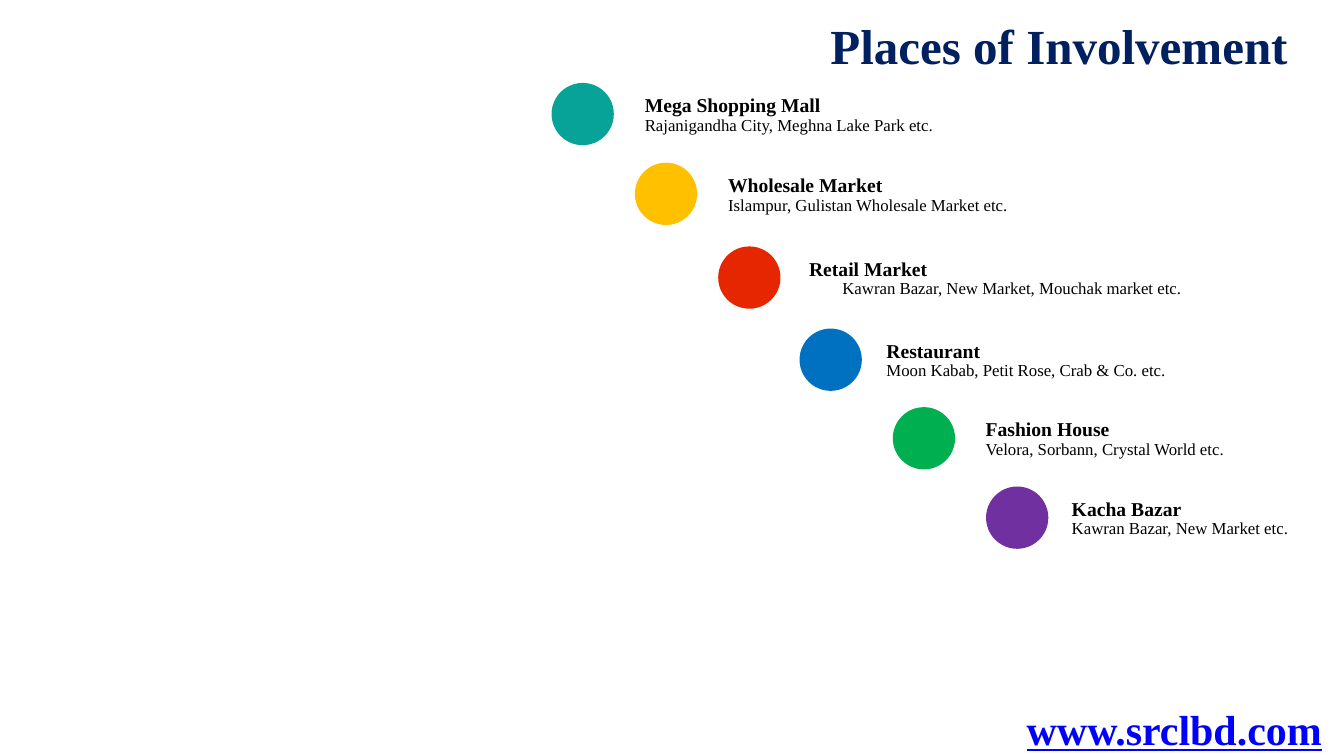
from dataclasses import dataclass

from pptx import Presentation
from pptx.dml.color import RGBColor
from pptx.enum.shapes import MSO_SHAPE
from pptx.enum.text import PP_ALIGN
from pptx.slide import Slide
from pptx.util import Cm, Pt

OVAL = MSO_SHAPE.OVAL
LEFT, RIGHT = PP_ALIGN.LEFT, PP_ALIGN.RIGHT

FONT = "Times New Roman"
BLACK = RGBColor(0x00, 0x00, 0x00)
NAVY = RGBColor(0x00, 0x20, 0x60)
LINK_BLUE = RGBColor(0x00, 0x00, 0xFF)
TEAL = RGBColor(0x07, 0xA3, 0x98)
AMBER = RGBColor(0xFF, 0xC0, 0x00)
RED = RGBColor(0xE6, 0x26, 0x01)
BLUE = RGBColor(0x00, 0x70, 0xC0)
GREEN = RGBColor(0x00, 0xB0, 0x50)
PURPLE = RGBColor(0x70, 0x30, 0xA0)

# Lengths in centimetres
DOT_SIZE = 1.57
HEADING_DROP, HEADING_HEIGHT = 0.13, 0.86
DETAIL_DROP, DETAIL_HEIGHT = 0.67, 0.76


@dataclass
class Place:
    heading: str
    detail: str
    color: RGBColor
    dot_left: float
    top: float
    text_left: float
    text_width: float
    detail_shift: float = 0


PLACES = [
    Place("Mega Shopping Mall", "Rajanigandha City, Meghna Lake Park etc.",
          TEAL, 13.9, 2.09, 16.0, 8.28),
    Place("Wholesale Market", "Islampur, Gulistan Wholesale Market etc.",
          AMBER, 16.0, 4.1, 18.1, 8.28),
    Place("Retail Market", "Kawran Bazar, New Market, Mouchak market etc.",
          RED, 18.1, 6.21, 20.14, 9.4, 0.84),
    Place("Restaurant", "Moon Kabab, Petit Rose, Crab & Co. etc.",
          BLUE, 20.15, 8.28, 22.09, 8.28),
    Place("Fashion House", "Velora, Sorbann, Crystal World etc.",
          GREEN, 22.5, 10.26, 24.59, 7.49),
    Place("Kacha Bazar", "Kawran Bazar, New Market etc.",
          PURPLE, 24.85, 12.26, 26.76, 6.4),
]


def add_text(s: Slide, text: str, left: float, top: float, width: float,
             height: float, size: int, color: RGBColor = BLACK,
             bold: bool = True, underline: bool = False,
             align: PP_ALIGN = LEFT) -> None:
    tf = s.shapes.add_textbox(Cm(left), Cm(top), Cm(width), Cm(height)).text_frame
    tf.word_wrap = True
    p = tf.paragraphs[0]
    p.alignment = align
    r = p.add_run()
    r.text = text
    r.font.name = FONT
    r.font.size = Pt(size)
    r.font.bold = bold
    r.font.underline = underline
    r.font.color.rgb = color


def add_place(s: Slide, place: Place) -> None:
    sp = s.shapes.add_shape(OVAL, Cm(place.dot_left), Cm(place.top),
                            Cm(DOT_SIZE), Cm(DOT_SIZE))
    sp.shadow.inherit = False
    sp.fill.solid()
    sp.fill.fore_color.rgb = place.color
    sp.line.fill.background()
    add_text(s, place.detail, place.text_left + place.detail_shift,
             place.top + DETAIL_DROP, place.text_width, DETAIL_HEIGHT, 12, bold=False)
    add_text(s, place.heading, place.text_left, place.top + HEADING_DROP,
             place.text_width, HEADING_HEIGHT, 14)


def main() -> None:
    prs = Presentation()
    prs.slide_width, prs.slide_height = Cm(33.87), Cm(19.05)
    s = prs.slides.add_slide(prs.slide_layouts[6])
    add_text(s, "Places of Involvement", 20.68, 0.27, 12.04, 1.75, 35, NAVY)
    for place in PLACES:
        add_place(s, place)
    add_text(s, "www.srclbd.com", 25.4, 17.6, 8.17, 1.55, 30, LINK_BLUE,
             underline=True, align=RIGHT)
    prs.save("out.pptx")


if __name__ == "__main__":
    main()
